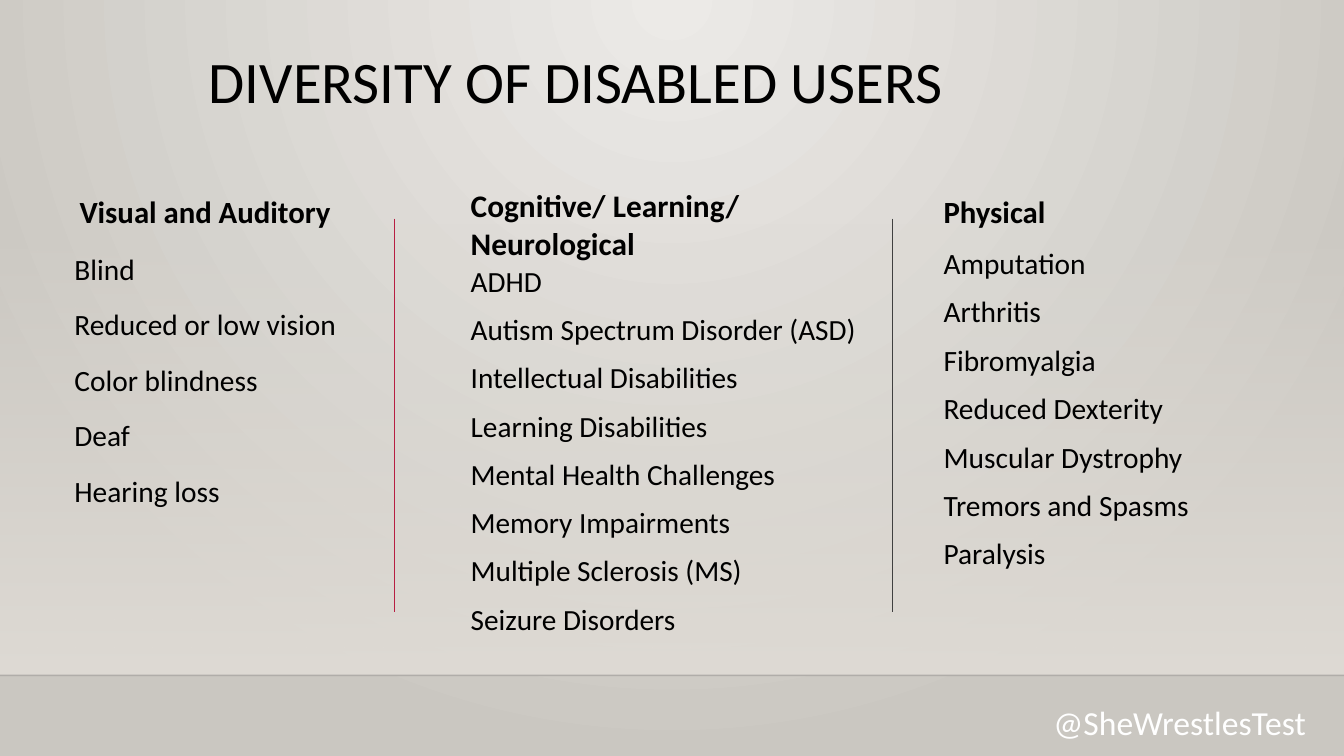
"""Build a slide listing kinds of disability in three columns."""
from pptx import Presentation
from pptx import util as u
from pptx.dml.color import RGBColor
from pptx.enum import shapes, text
from pptx.oxml import parse_xml
from pptx.oxml.ns import nsdecls, qn

COLUMNS = [
    {"heading": "Visual and Auditory", "heading_at": (0.69, 1.86, 3.22, 0.47), "heading_size": 22,
     "items_at": (0.64, 2.37, 3.2, 3.93), "size": 21, "spacing": 1.2,
     "items": ["Blind", "Reduced or low vision", "Color blindness", "Deaf", "Hearing loss"]},
    {"heading": "Cognitive/ Learning/ Neurological", "heading_at": (4.57, 1.8, 3.54, 0.85),
     "heading_size": 22.4, "items_at": (4.57, 2.56, 4.28, 4.29), "size": 20.9, "spacing": 1,
     "items": ["ADHD", "Autism Spectrum Disorder (ASD)", "Intellectual Disabilities",
               "Learning Disabilities", "Mental Health Challenges", "Memory Impairments",
               "Multiple Sclerosis (MS)", "Seizure Disorders"]},
    {"heading": "Physical", "heading_at": (9.26, 1.86, 3.21, 0.47), "heading_size": 22,
     "items_at": (9.26, 2.38, 3.21, 3.93), "size": 21, "spacing": 1,
     "items": ["Amputation", "Arthritis", "Fibromyalgia", "Reduced Dexterity",
               "Muscular Dystrophy", "Tremors and Spasms", "Paralysis"]},
]


def colour(value):
    return RGBColor.from_string(value)


class SlideBuilder:
    font = "Calibri"
    ink = "000000"
    paragraph_gap = 9.4

    def __init__(self, deck):
        self.slide = deck.slides.add_slide(deck.slide_layouts[5])

    def gradient(self, fill, owner, stops, direction):
        fill.gradient()
        gradient = next(owner.iter(qn("a:gradFill")))
        marks = "".join(
            f'<a:gs pos="{place * 1000}"><a:srgbClr val="{shade}">'
            f'<a:alpha val="{alpha * 1000}"/></a:srgbClr></a:gs>'
            for place, shade, alpha in stops)
        gradient.getparent().replace(gradient, parse_xml(
            f'<a:gradFill {nsdecls("a")} rotWithShape="1"><a:gsLst>{marks}</a:gsLst>'
            f'{direction}</a:gradFill>'))

    def background(self):
        self.gradient(
            self.slide.background.fill, self.slide.element,
            [(0, "ECEAE7", 100), (100, "CAC7C1", 100)],
            '<a:path path="circle"><a:fillToRect l="43000" t="0" r="43000" b="100000"/></a:path>')

    def fading_panel(self, at, shade):
        panel = self.slide.shapes.add_shape(
            shapes.MSO_SHAPE.RECTANGLE, *map(u.Inches, at))
        panel.shadow.inherit = False
        panel.line.fill.background()
        self.gradient(panel.fill, panel.element, [(0, shade, 0), (100, shade, 100)],
                      '<a:lin ang="5400000" scaled="0"/>')

    def line(self, start, end, shade, width, alpha=100):
        line = self.slide.shapes.add_connector(
            shapes.MSO_CONNECTOR.STRAIGHT, *map(u.Inches, start + end))
        line.line.color.rgb = colour(shade)
        line.line.width = u.Pt(width)
        if alpha < 100:
            paint = next(line.element.iter(qn("a:srgbClr")))
            paint.append(parse_xml(f'<a:alpha {nsdecls("a")} val="{alpha * 1000}"/>'))
        line.element.spPr.append(parse_xml(f'<a:effectLst {nsdecls("a")}/>'))

    def fill_text(self, box, lines, size, shade=ink, bold=False, spacing=1.0,
                  anchor=text.MSO_ANCHOR.TOP, wrap=True):
        frame = box.text_frame
        frame.word_wrap = wrap
        frame.auto_size = text.MSO_AUTO_SIZE.NONE
        frame.vertical_anchor = anchor
        for index, line in enumerate(lines):
            para = frame.add_paragraph() if index else frame.paragraphs[0]
            para.alignment = text.PP_ALIGN.LEFT
            para.line_spacing = spacing
            para.space_before = u.Pt(self.paragraph_gap if index else 0)
            span = para.add_run()
            span.text = line
            span.font.name = self.font
            span.font.size = u.Pt(size)
            span.font.bold = bold
            span.font.color.rgb = colour(shade)

    def title(self, at, words, size):
        box = self.slide.shapes.title
        box.left, box.top, box.width, box.height = map(u.Inches, at)
        self.fill_text(box, [words], size, spacing=0.9)

    def textbox(self, at, lines, size, **style):
        box = self.slide.shapes.add_textbox(*map(u.Inches, at))
        self.fill_text(box, lines, size, **style)


def main():
    deck = Presentation()
    deck.slide_width, deck.slide_height = u.Inches(13.33), u.Inches(7.5)
    page = SlideBuilder(deck)
    page.background()
    page.fading_panel((0, 2.21, 13.33, 4.49), "DFDBD5")
    page.line((0, 6.7), (13.33, 6.7), "000001", 1, alpha=20)
    page.title((1.97, 0.47, 10.5, 1.15), "DIVERSITY OF DISABLED USERS", 42)
    for column in COLUMNS:
        page.textbox(column["heading_at"], [column["heading"]], column["heading_size"], bold=True)
        page.textbox(column["items_at"], column["items"], column["size"],
                     spacing=column["spacing"])
    for left, shade in ((3.91, "B71E42"), (8.85, "404040")):
        page.line((left, 2.17), (left, 6.07), shade, 0.75)
    page.textbox((10.35, 7, 2.9, 0.32), ["@SheWrestlesTest"], 24, shade="FFFFFF",
                 anchor=text.MSO_ANCHOR.MIDDLE, wrap=False)
    deck.save("out.pptx")


if __name__ == "__main__":
    main()
